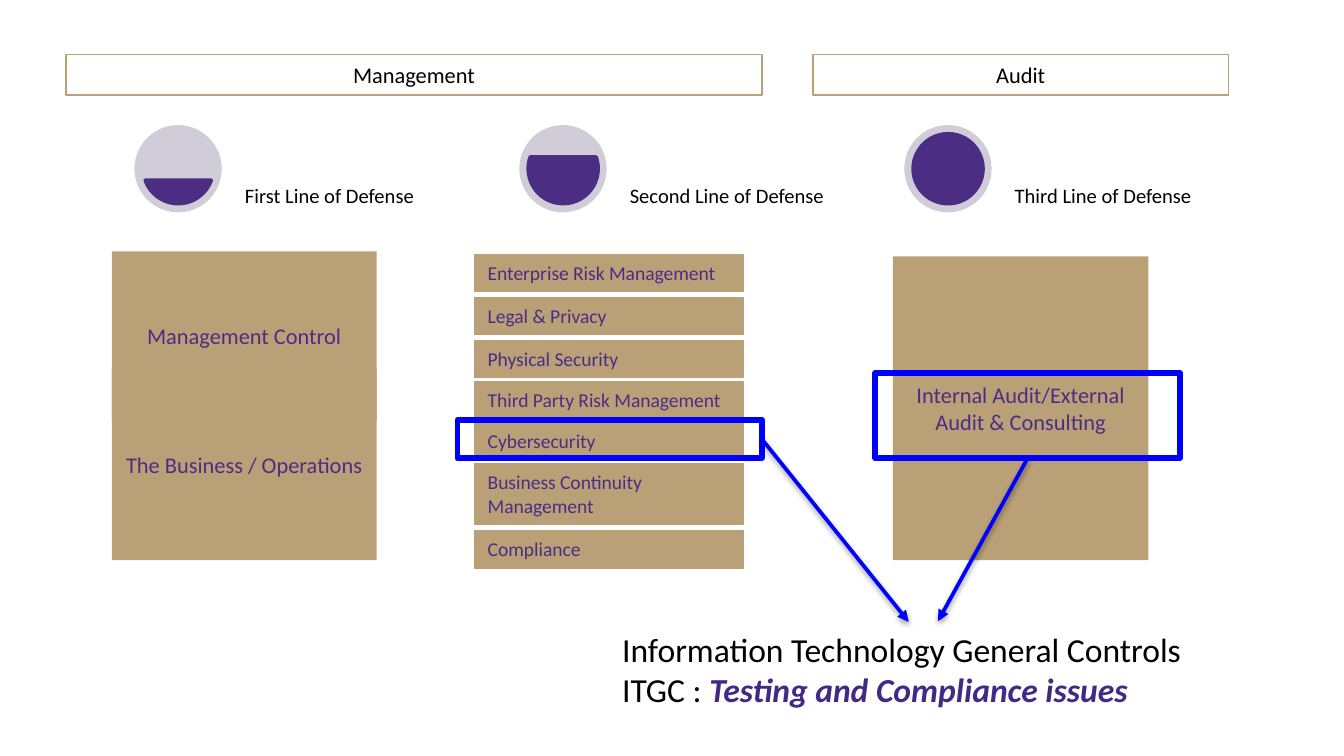
from dataclasses import dataclass

from pptx import Presentation
from pptx.dml.color import RGBColor
from pptx.enum.shapes import MSO_CONNECTOR as Link, MSO_SHAPE as Kind
from pptx.enum.text import MSO_ANCHOR as Anchor, MSO_AUTO_SIZE as Fit, PP_ALIGN as Align
from pptx.oxml import parse_xml
from pptx.oxml.ns import nsdecls, qn
from pptx.util import Pt

FONT = "Calibri"
GOLD, PURPLE, GREY = "B9A077", "4B2E84", "D0CDD9"
BLUE, BLACK, VIOLET = "0000FF", "000000", "412985"


@dataclass
class Box:
    x: float
    y: float
    w: float
    h: float
    text: str = ""
    fill: str = ""
    edge: str = ""
    width: float = 0.75
    size: float = 12
    ink: str = PURPLE
    align: Align = Align.CENTER
    anchor: Anchor = Anchor.MIDDLE


@dataclass
class Stage:
    text: str
    start: float
    end: float


@dataclass
class Arrow:
    x1: float
    y1: float
    x2: float
    y2: float


def color(code: str) -> RGBColor:
    return RGBColor.from_string(code)


def style(para, size: float, ink: str) -> None:
    para.font.name = FONT
    para.font.size = Pt(size)
    para.font.color.rgb = color(ink)


def draw_box(shapes, box: Box, kind: Kind = Kind.RECTANGLE):
    shape = shapes.add_shape(kind, Pt(box.x), Pt(box.y), Pt(box.w), Pt(box.h))
    shape.shadow.inherit = False
    if box.fill:
        shape.fill.solid()
        shape.fill.fore_color.rgb = color(box.fill)
    else:
        shape.fill.background()
    if box.edge:
        shape.line.color.rgb = color(box.edge)
        shape.line.width = Pt(box.width)
    else:
        shape.line.fill.background()
    if box.text:
        frame = shape.text_frame
        frame.word_wrap = True
        frame.vertical_anchor = box.anchor
        para = frame.paragraphs[0]
        para.text = box.text
        para.alignment = box.align
        style(para, box.size, box.ink)
    return shape


def draw_stage(shapes, stage: Stage, x: float) -> None:
    y = 67
    draw_box(shapes, Box(x, y, 46.8, 46.8, fill=GREY), Kind.OVAL)
    chord = draw_box(shapes, Box(x + 4.8, y + 4.7, 37.4, 37.4, fill=PURPLE, edge=PURPLE, width=2), Kind.CHORD)
    chord.adjustments[0] = stage.start
    chord.adjustments[1] = stage.end
    label = shapes.add_textbox(Pt(x + 57), Pt(y), Pt(139.7), Pt(46.8))
    frame = label.text_frame
    frame.word_wrap = True
    frame.vertical_anchor = Anchor.BOTTOM
    frame.margin_left = frame.margin_right = Pt(2.2)
    frame.margin_top = frame.margin_bottom = Pt(2.2)
    para = frame.paragraphs[0]
    para.text = stage.text
    para.line_spacing = 0.9
    style(para, 11, BLACK)


def draw_arrow(shapes, arrow: Arrow) -> None:
    line = shapes.add_connector(Link.STRAIGHT, Pt(arrow.x1), Pt(arrow.y1), Pt(arrow.x2), Pt(arrow.y2))
    line.line.color.rgb = color(BLUE)
    line.line.width = Pt(2)
    props = line._element.spPr
    props.find(qn("a:ln")).append(parse_xml(f'<a:tailEnd {nsdecls("a")} type="triangle"/>'))
    props.append(parse_xml(
        f'<a:effectLst {nsdecls("a")}><a:outerShdw blurRad="{Pt(3.1)}" dist="{Pt(1.6)}" '
        f'dir="5400000" rotWithShape="0"><a:srgbClr val="{BLACK}"><a:alpha val="38000"/>'
        '</a:srgbClr></a:outerShdw></a:effectLst>'))


def draw_note(shapes) -> None:
    note = shapes.add_textbox(Pt(326.2), Pt(333.4), Pt(321.8), Pt(51))
    frame = note.text_frame
    frame.word_wrap = False
    frame.auto_size = Fit.SHAPE_TO_FIT_TEXT
    head = frame.paragraphs[0]
    head.text = "Information Technology General Controls"
    tail = frame.add_paragraph()
    tail.add_run().text = "ITGC : "
    for para in (head, tail):
        style(para, 18, BLACK)
    run = tail.add_run()
    run.text = "Testing and Compliance issues"
    run.font.bold = run.font.italic = True
    run.font.color.rgb = color(VIOLET)


STAGES = [
    Stage("First Line of Defense", 11.68, 96.32),
    Stage("Second Line of Defense", 204.32, 119.68),
    Stage("Third Line of Defense", 162, 162),
]
BLOCKS = [
    Box(60, 134.7, 141.8, 90.5, "Management Control", GOLD),
    Box(60, 197.3, 141.8, 102.8, "The Business / Operations", GOLD),
    Box(478.3, 137.3, 137, 162.8, "Internal Audit/External Audit & Consulting", GOLD),
]
HEADS = [
    Box(35.4, 29.2, 372.8, 21.8, "Management", edge=GOLD, ink=BLACK),
    Box(435.6, 29.2, 222.5, 21.8, "Audit", edge=GOLD, ink=BLACK),
]
ROWS = [
    ("Enterprise Risk Management", 136.3, 20),
    ("Legal & Privacy", 159.3, 20),
    ("Physical Security", 182.3, 20),
    ("Third Party Risk Management", 204.5, 20),
    ("Cybersecurity", 226.3, 20),
    ("Business Continuity Management", 248.4, 32.5),
    ("Compliance", 284.3, 20),
]
FRAMES = [
    Box(245, 225, 163.3, 20.4, edge=BLUE, width=3),
    Box(468.7, 200, 163.6, 45.4, edge=BLUE, width=3),
]
ARROWS = [Arrow(408.3, 235.4, 486.8, 333.2), Arrow(550.5, 245.5, 502.5, 332.8)]


def main() -> None:
    deck = Presentation()
    deck.slide_width, deck.slide_height = Pt(720), Pt(405)
    shapes = deck.slides.add_slide(deck.slide_layouts[6]).shapes
    group = shapes.add_group_shape().shapes
    for i, stage in enumerate(STAGES):
        draw_stage(group, stage, 72 + 206.2 * i)
    for box in BLOCKS:
        draw_box(shapes, box)
    for text, y, h in ROWS:
        draw_box(shapes, Box(254.2, y, 144, h, text, GOLD, GOLD, size=10.5, align=Align.LEFT, anchor=Anchor.TOP))
    for box in HEADS + FRAMES:
        draw_box(shapes, box)
    for arrow in ARROWS:
        draw_arrow(shapes, arrow)
    draw_note(shapes)
    deck.save("out.pptx")


if __name__ == "__main__":
    main()
